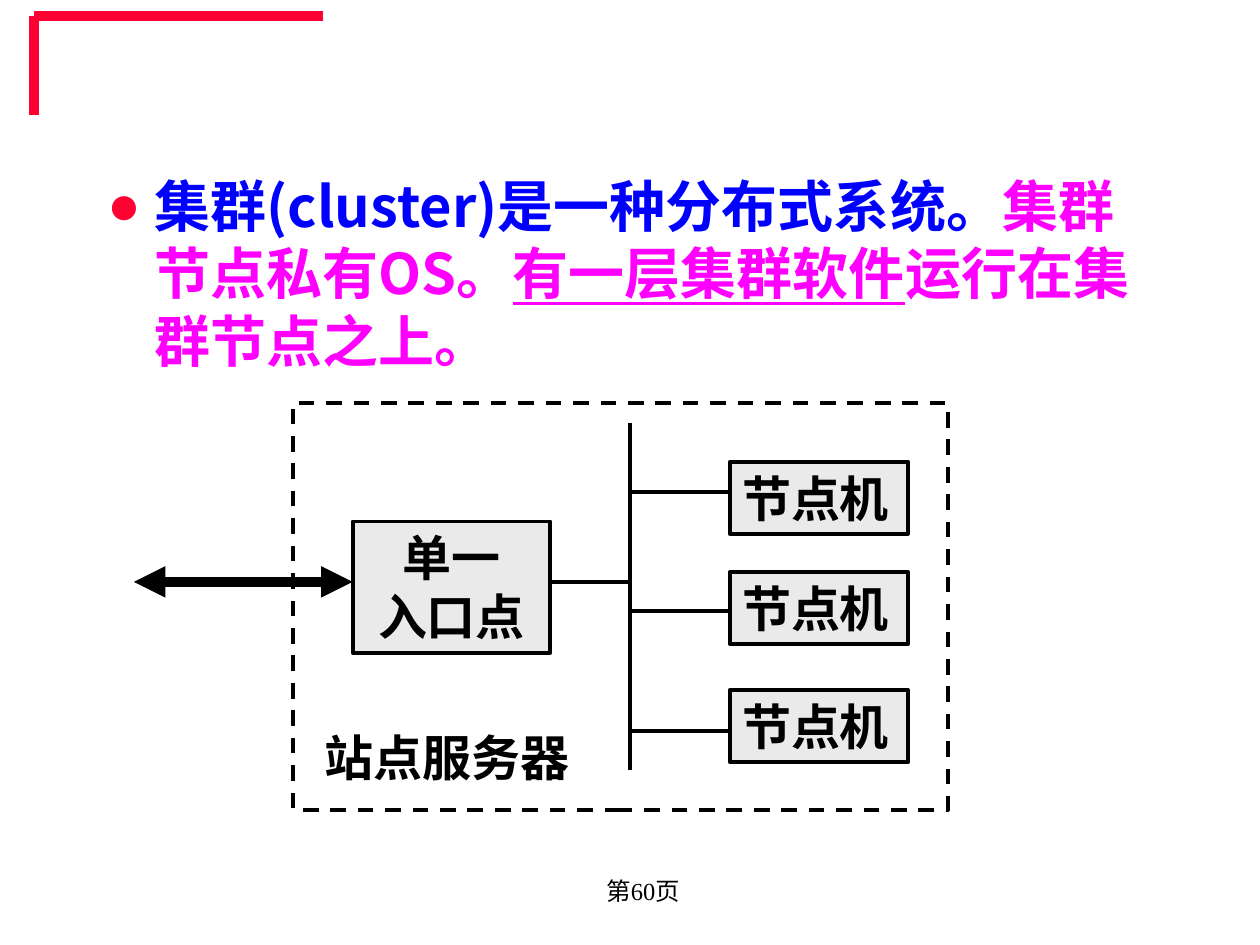
from typing import NamedTuple

from lxml.etree import SubElement
from pptx import Presentation
from pptx.dml.color import RGBColor
from pptx.enum.dml import MSO_LINE
from pptx.enum.shapes import MSO_CONNECTOR, MSO_SHAPE
from pptx.enum.text import MSO_ANCHOR, MSO_AUTO_SIZE, PP_ALIGN
from pptx.oxml.ns import qn
from pptx.util import Pt

RED = RGBColor(0xFF, 0x00, 0x33)
BLUE = RGBColor(0x00, 0x00, 0xFF)
PINK = RGBColor(0xFF, 0x00, 0xFF)
BLACK = RGBColor(0x00, 0x00, 0x00)
GREY = RGBColor(0xEA, 0xEA, 0xEA)
SANS = "Noto Sans CJK SC"
SERIF = "Times New Roman"


class Box(NamedTuple):
    left: float
    top: float
    width: float
    height: float
    lines: tuple[str, ...] = ()
    align: PP_ALIGN = PP_ALIGN.LEFT


class Line(NamedTuple):
    x1: float
    y1: float
    x2: float
    y2: float
    color: RGBColor = BLACK
    width: float = 2.25
    arrows: bool = False


class Part(NamedTuple):
    text: str
    color: RGBColor
    under: bool = False


def set_font(para, size: float, name: str = SANS, bold: bool = True) -> None:
    font = para.font
    font.size, font.bold, font.name = Pt(size), bold, name
    if name == SANS:
        props = para._p.pPr.find(qn("a:defRPr"))
        SubElement(props, qn("a:ea"), typeface=name)


def fill_text(shape, box: Box, size: float = 28, name: str = SANS, bold: bool = True) -> None:
    frame = shape.text_frame
    frame.word_wrap = True
    frame.vertical_anchor = MSO_ANCHOR.TOP
    frame.text = "\n".join(box.lines)
    for para in frame.paragraphs:
        para.alignment = box.align
        set_font(para, size, name, bold)
        para.font.color.rgb = BLACK


def add_box(shapes, box: Box, fill: RGBColor | None = None, dash: bool = False) -> None:
    shape = shapes.add_shape(MSO_SHAPE.RECTANGLE, *map(Pt, box[:4]))
    shape.shadow.inherit = False
    if fill is None:
        shape.fill.background()
    else:
        shape.fill.solid()
        shape.fill.fore_color.rgb = fill
    shape.line.color.rgb = BLACK
    shape.line.width = Pt(2.25)
    if dash:
        shape.line.dash_style = MSO_LINE.DASH
    if box.lines:
        fill_text(shape, box)


def add_line(shapes, line: Line) -> None:
    conn = shapes.add_connector(MSO_CONNECTOR.STRAIGHT, *map(Pt, line[:4]))
    conn.line.color.rgb = line.color
    conn.line.width = Pt(line.width)
    if line.arrows:
        for end in ("a:headEnd", "a:tailEnd"):
            SubElement(conn.line._ln, qn(end), type="triangle")
    SubElement(conn._element.spPr, qn("a:effectLst"))


def add_body(shape, parts: tuple[Part, ...]) -> None:
    shape.left, shape.top, shape.width, shape.height = map(Pt, (54, 94.5, 612, 131))
    frame = shape.text_frame
    frame.auto_size = MSO_AUTO_SIZE.NONE
    frame.vertical_anchor = MSO_ANCHOR.TOP
    para = frame.paragraphs[0]
    para.space_before = Pt(0)
    props = para._p.get_or_add_pPr()
    props.set("marL", str(Pt(27)))
    props.set("indent", str(Pt(-27)))
    color = SubElement(props, qn("a:buClr"))
    SubElement(color, qn("a:srgbClr"), val=str(RED))
    SubElement(props, qn("a:buChar"), char="●")
    set_font(para, 32)
    for part in parts:
        run = para.add_run()
        run.text = part.text
        run.font.color.rgb = part.color
        if part.under:
            run.font.underline = True


def main() -> None:
    deck = Presentation()
    deck.slide_width, deck.slide_height = Pt(720), Pt(540)
    slide = deck.slides.add_slide(deck.slide_layouts[1])
    shapes = slide.shapes
    title = shapes.title._element
    title.getparent().remove(title)

    # Corner mark
    add_line(shapes, Line(19.5, 9.25, 184.5, 9.25, RED, 6))
    add_line(shapes, Line(19.5, 9.25, 19.5, 65.75, RED, 6))

    # Body text
    add_body(slide.placeholders[1], (
        Part("集群(cluster)是一种分布式系统。", BLUE),
        Part("集群节点私有OS。", PINK),
        Part("有一层集群软件", PINK, True),
        Part("运行在集群节点之上。", PINK),
    ))

    # Entry point and node machines on one bus
    bus, edge, mid = 360, 417, 332.5
    add_box(shapes, Box(201.5, 298, 113, 75, ("单一", "入口点"), PP_ALIGN.CENTER), GREY)
    for top, tap in ((264, 281.25), (327, 349.25), (394.5, 417.5)):
        add_box(shapes, Box(edge, top, 102, 41, ("节点机",)), GREY)
        add_line(shapes, Line(bus, tap, edge, tap))
    add_line(shapes, Line(bus, 242, bus, 440))
    add_line(shapes, Line(314.5, mid, bus, mid))
    add_line(shapes, Line(76.5, mid, 201.5, mid, width=6, arrows=True))

    # Site server frame and label
    add_box(shapes, Box(167.25, 230.25, 374.5, 232.5), dash=True)
    label = Box(178.5, 412, 170, 41, ("站点服务器",))
    fill_text(shapes.add_textbox(*map(Pt, label[:4])), label)

    # Page number
    page = Box(292.5, 491, 150, 36, ("第60页",), PP_ALIGN.CENTER)
    foot = shapes.add_textbox(*map(Pt, page[:4]))
    fill_text(foot, page, 14, SERIF, False)
    foot.text_frame.vertical_anchor = MSO_ANCHOR.MIDDLE

    deck.save("out.pptx")


if __name__ == "__main__":
    main()
